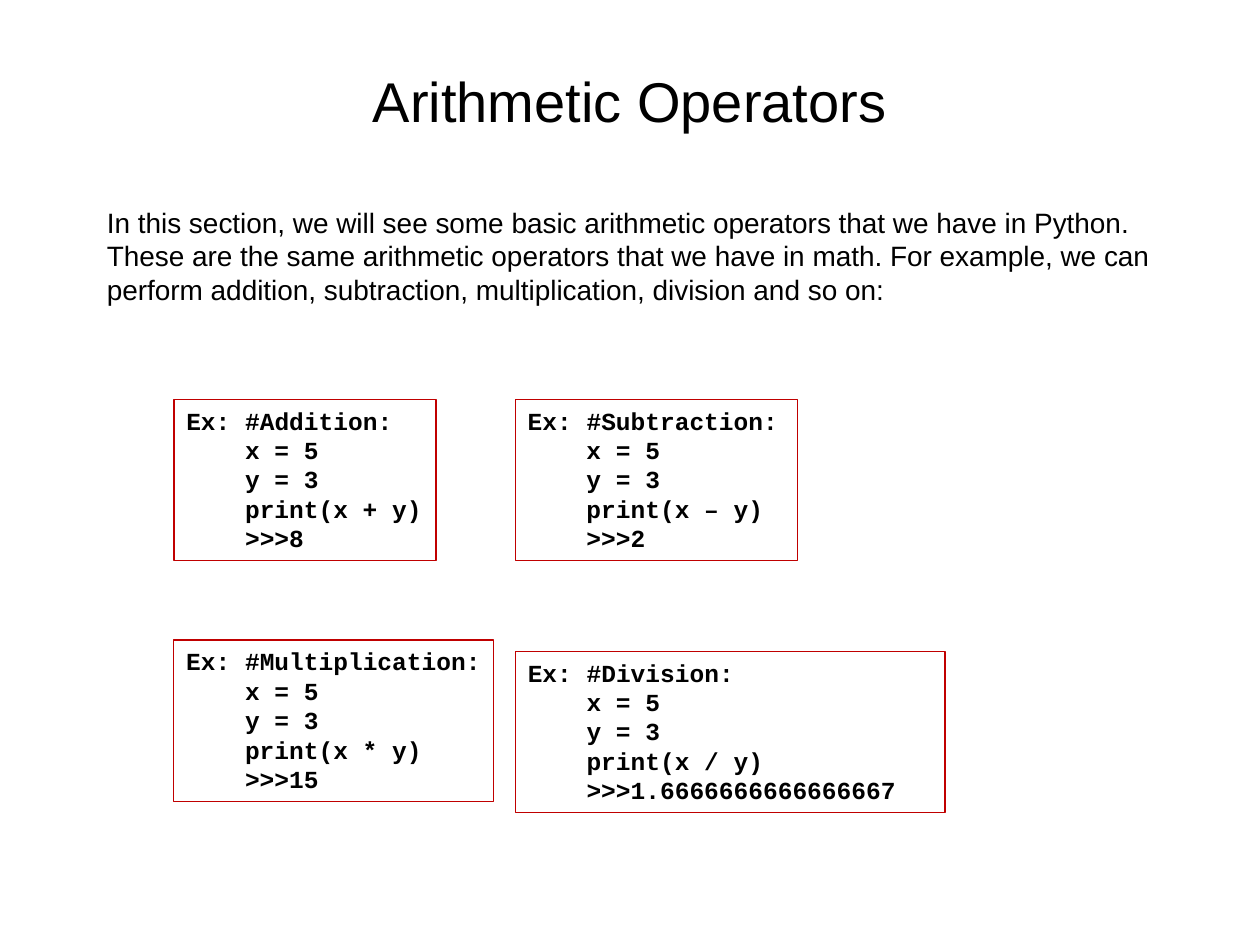
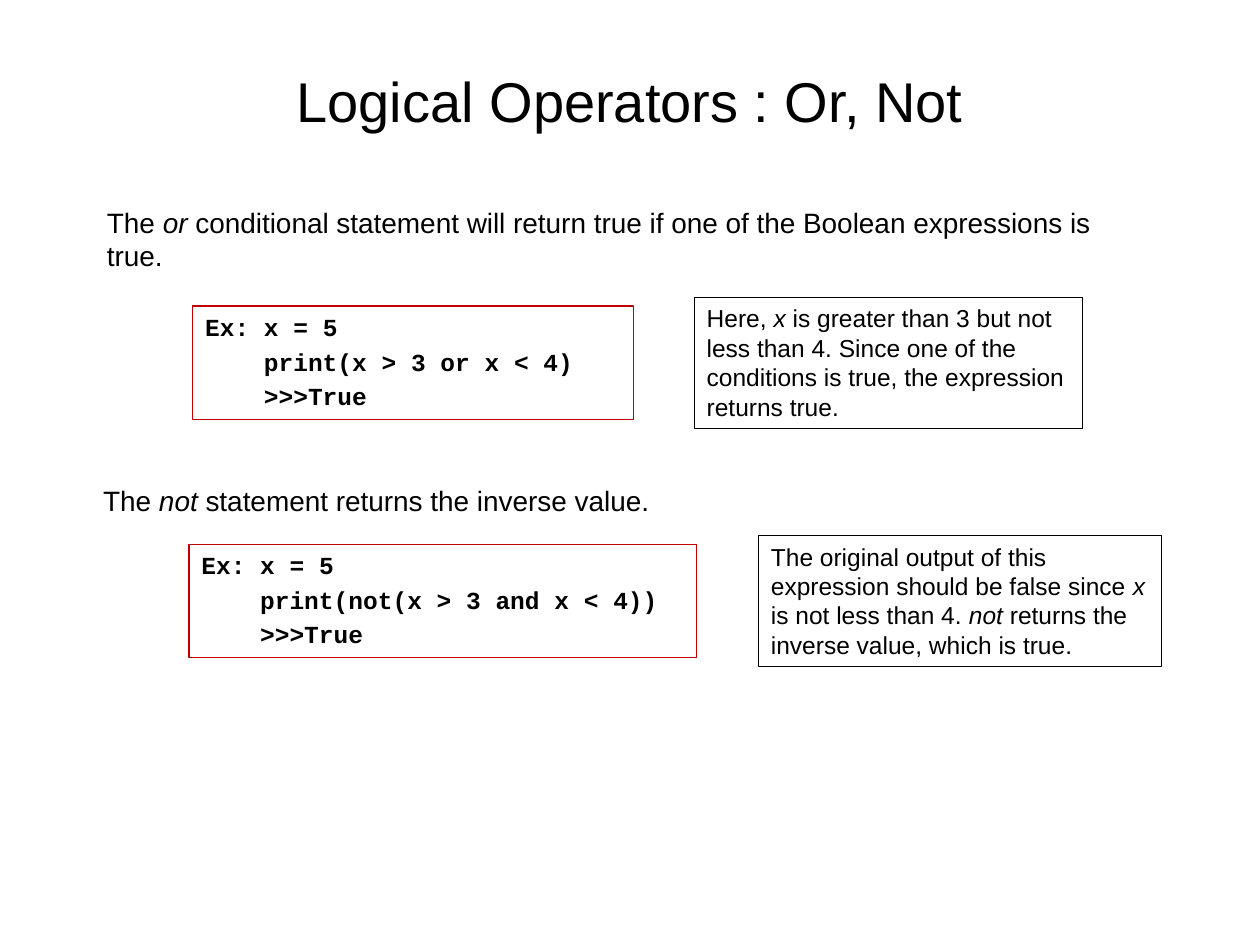
from pptx import Presentation
from pptx.dml.color import RGBColor
from pptx.enum.shapes import MSO_SHAPE
from pptx.enum.text import MSO_ANCHOR, PP_ALIGN
from pptx.util import Inches, Pt

BLACK, RED = "000000", "C00000"
CODE_INDENT = Pt(33.6)


def rgb(value):
    return RGBColor.from_string(value)


def add_text(s, at, lines, size, font="Arial", line=None):
    at = [Inches(v) for v in at]
    if line:
        sp = s.shapes.add_shape(MSO_SHAPE.RECTANGLE, *at)
        sp.shadow.inherit = False
        sp.fill.background()
        sp.line.color.rgb = rgb(line)
        sp.line.width = Pt(0.75)
    else:
        sp = s.shapes.add_textbox(*at)
    tf = sp.text_frame
    tf.word_wrap = True
    tf.vertical_anchor = MSO_ANCHOR.TOP
    for i, text in enumerate(lines):
        p = tf.paragraphs[0] if i == 0 else tf.add_paragraph()
        p.alignment = PP_ALIGN.LEFT
        p.font.size = Pt(size)
        p.font.name = font
        p.font.color.rgb = rgb(BLACK)
        for j, part in enumerate(text.split("_")):
            r = p.add_run()
            r.text = part
            if j % 2:
                r.font.italic = True
    return tf


prs = Presentation()
prs.slide_width, prs.slide_height = Inches(10), Inches(7.5)

slides = [
    {
        "title": "Arithmetic Operators",
        "body": [
            ((0.75, 1.58, 8.5, 1.0),
             "In this section, we will see some basic arithmetic operators that we "
             "have in Python. These are the same arithmetic operators that we have "
             "in math. For example, we can perform addition, subtraction, "
             "multiplication, division and so on:"),
        ],
        "code": [
            (at, [f"Ex: #{name}:", "x = 5", "y = 3", f"print(x {op} y)", f">>>{result}"])
            for at, name, op, result in [
                ((1.38, 3.17, 2.08, 1.28), "Addition", "+", "8"),
                ((4.09, 3.17, 2.24, 1.28), "Subtraction", "–", "2"),
                ((1.38, 5.08, 2.54, 1.28), "Multiplication", "*", "15"),
                ((4.09, 5.17, 3.41, 1.28), "Division", "/", "1.6666666666666667"),
            ]
        ],
        "code_gap": 0,
        "notes": [],
    },
    {
        "title": "Logical Operators : Or, Not",
        "body": [
            ((0.75, 1.58, 8.5, 0.88),
             "The _or _conditional statement will return true if one of the "
             "Boolean expressions is true."),
            ((0.72, 3.79, 8.5, 0.37), "The _not_ statement returns the inverse value."),
        ],
        "code": [
            (at, ["Ex: x = 5", f"print({test})", ">>>True"])
            for at, test in [
                ((1.53, 2.43, 3.5, 0.9), "x > 3 or x < 4"),
                ((1.5, 4.32, 4.03, 0.9), "not(x > 3 and x < 4)"),
            ]
        ],
        "code_gap": 2.8,
        "notes": [
            ((5.51, 2.36, 3.08, 1.04),
             "Here, _x_ is greater than 3 but not less than 4. Since one of the "
             "conditions is true, the expression returns true."),
            ((6.02, 4.25, 3.2, 1.04),
             "The original output of this expression should be false since _x_ is "
             "not less than 4. _not_ returns the inverse value, which is true."),
        ],
    },
]

for content in slides:
    s = prs.slides.add_slide(prs.slide_layouts[6])
    tf = add_text(s, (0.75, 0.17, 8.5, 1.25), [content["title"]], 32)
    tf.vertical_anchor = MSO_ANCHOR.MIDDLE
    tf.paragraphs[0].alignment = PP_ALIGN.CENTER
    for at, text in content["body"]:
        add_text(s, at, [text], 16)
    for at, text in content["notes"]:
        add_text(s, at, [text], 14, line=BLACK)
    for at, lines in content["code"]:
        tf = add_text(s, at, lines, 14, "Courier New", RED)
        for i, p in enumerate(tf.paragraphs):
            p.font.bold = True
            if i > 0:
                p.space_before = Pt(content["code_gap"])
                p._p.get_or_add_pPr().set("marL", str(CODE_INDENT))

prs.save("out.pptx")
